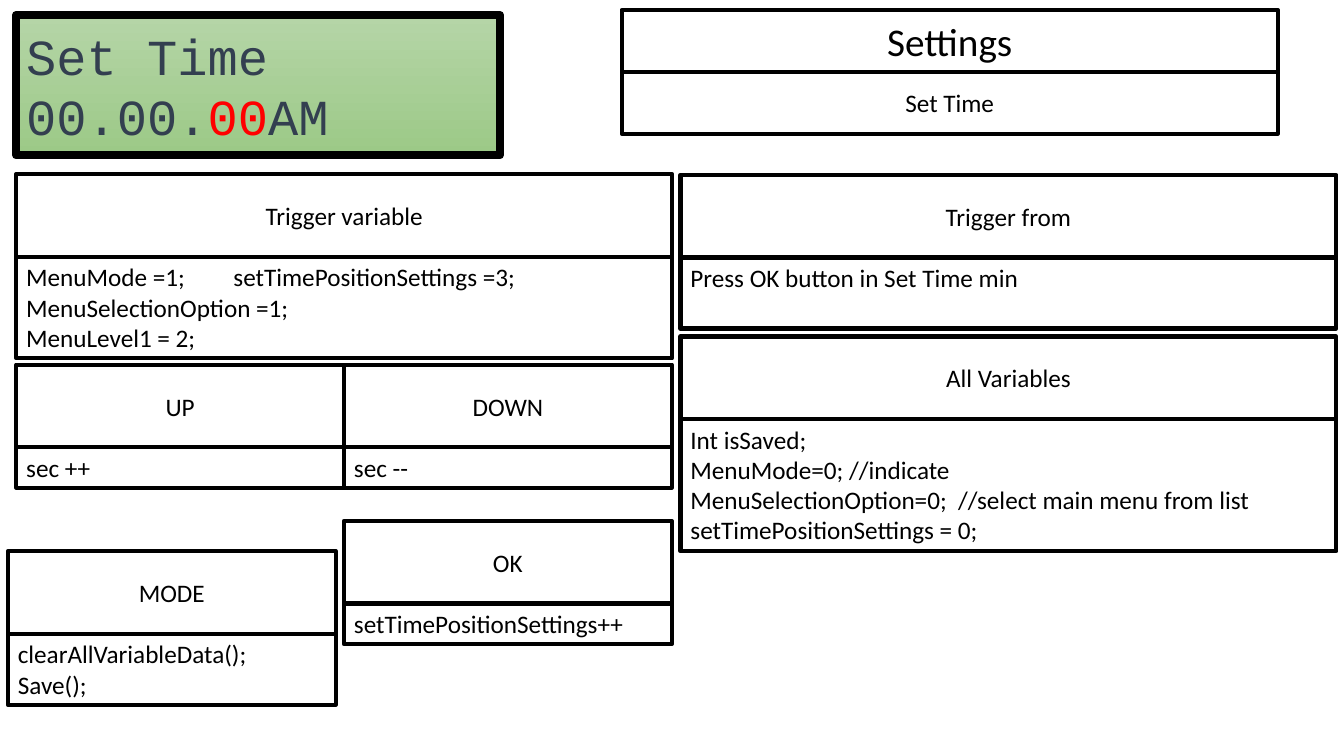
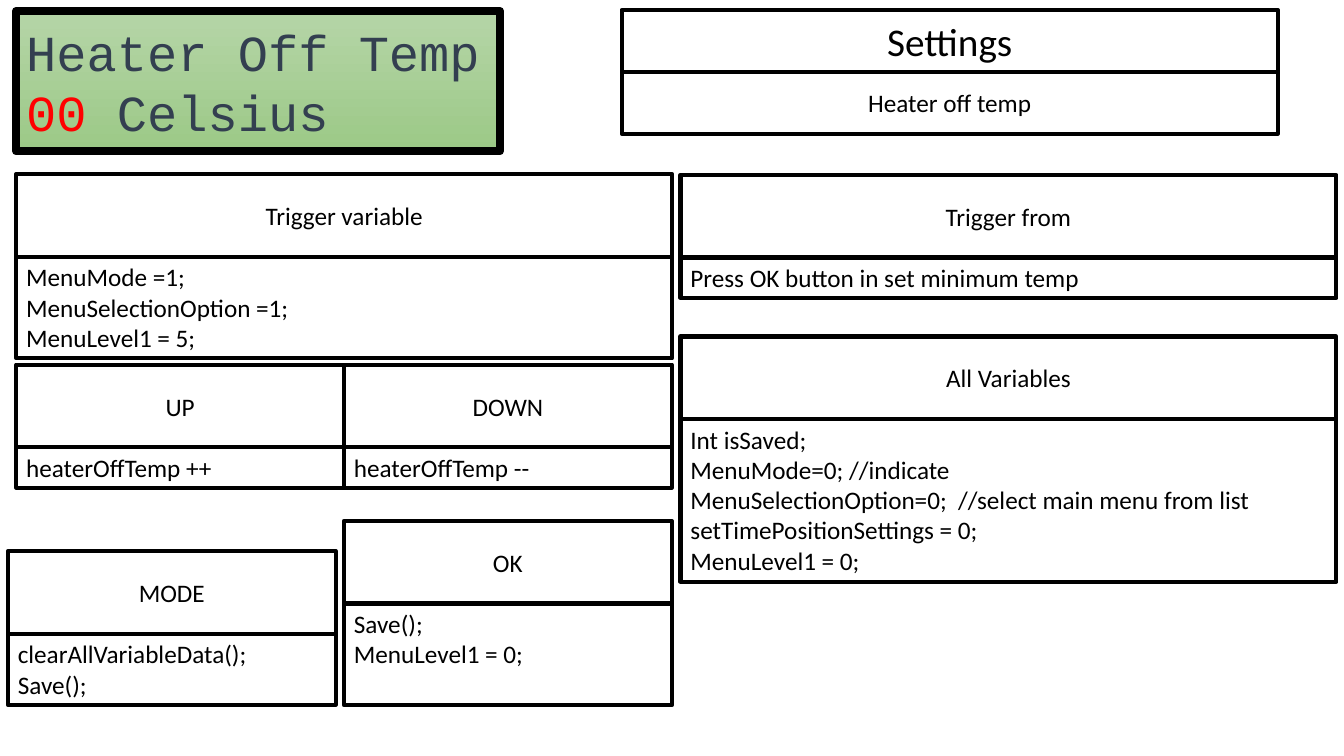
from pptx import Presentation
from pptx.dml.color import RGBColor
from pptx.enum.shapes import MSO_SHAPE
from pptx.enum.text import MSO_ANCHOR, MSO_AUTO_SIZE, PP_ALIGN
from pptx.util import Cm, Pt

RECTANGLE = MSO_SHAPE.RECTANGLE
LEFT, CENTER = PP_ALIGN.LEFT, PP_ALIGN.CENTER
TOP, MIDDLE = MSO_ANCHOR.TOP, MSO_ANCHOR.MIDDLE

COLORS = {
    "ink": "000000",
    "paper": "FFFFFF",
    "display_top": "B5D5A7",
    "display_bottom": "9CC987",
    "display_text": "333F50",
    "active": "FF0000",
}
FONT, DISPLAY_FONT = "Calibri", "Courier New"

VARIABLES = [
    "Int isSaved;",
    "MenuMode=0; //indicate",
    "MenuSelectionOption=0;  //select main menu from list",
    "setTimePositionSettings = 0;",
]
SAVE_STEPS = ["clearAllVariableData();", "Save();"]

# Display rows hold (text, color name) runs; "rows" sets a panel's height where
# it is taller than its text.
SCREENS = [
    {
        "setting": "Set Time",
        "display_top": 0.38,
        "display": [
            [("Set Time", "display_text")],
            [("00.00.", "display_text"), ("00", "active"), ("AM", "display_text")],
        ],
        "panels": {
            "Trigger variable": [
                "MenuMode =1; \t setTimePositionSettings =3;",
                "MenuSelectionOption =1;",
                "MenuLevel1 = 2;",
            ],
            "All Variables": VARIABLES,
            "UP": ["sec ++"],
            "DOWN": ["sec --"],
            "MODE": SAVE_STEPS,
            "OK": ["setTimePositionSettings++"],
            "Trigger from": ["Press OK button in Set Time min"],
        },
        "rows": {"Trigger from": 2},
    },
    {
        "setting": "Heater off temp",
        "display_top": 0.28,
        "display": [
            [("Heater Off Temp", "display_text")],
            [("00 ", "active"), ("Celsius", "display_text")],
        ],
        "panels": {
            "Trigger variable": [
                "MenuMode =1;",
                "MenuSelectionOption =1;",
                "MenuLevel1 = 5;",
            ],
            "All Variables": VARIABLES + ["MenuLevel1 = 0;"],
            "UP": ["heaterOffTemp ++"],
            "DOWN": ["heaterOffTemp --"],
            "MODE": SAVE_STEPS,
            "OK": ["Save();", "MenuLevel1 = 0;"],
            "Trigger from": ["Press OK button in set minimum temp"],
        },
        "rows": {"OK": 3},
    },
]

# Lengths in centimetres
WIDE, HALF = 16.53, 8.26
COLUMN_1 = 0.41
COLUMN_2 = COLUMN_1 + HALF
COLUMN_3 = 17.15
HEADER_HEIGHT, ROW_HEIGHT, ROW_PADDING = 2.08, 0.77, 0.25
BANNER_LEFT, BANNER_TOP, BANNER_HEIGHT = 15.67, 0.25, 1.56
DISPLAY_WIDTH, DISPLAY_HEIGHT = 12.19, 3.53

# Panel name: left, top, width
PANEL_PLACES = {
    "Trigger variable": (COLUMN_1, 4.39, WIDE),
    "All Variables": (COLUMN_3, 8.48, WIDE),
    "UP": (COLUMN_1, 9.19, HALF),
    "DOWN": (COLUMN_2, 9.19, HALF),
    "MODE": (0.2, 13.89, HALF),
    "OK": (COLUMN_2, 13.13, HALF),
    "Trigger from": (COLUMN_3, 4.41, WIDE),
}


def color(name):
    """Return the named palette color."""
    return RGBColor.from_string(COLORS[name])


def add_rectangle(slide, left, top, width, height):
    """Add a shadowless rectangle measured in centimetres."""
    shape = slide.shapes.add_shape(
        RECTANGLE, Cm(left), Cm(top), Cm(width), Cm(height)
    )
    shape.shadow.inherit = False
    return shape


def style_outline(shape, width):
    """Give a shape a black outline."""
    shape.line.color.rgb = color("ink")
    shape.line.width = Pt(width)


def style_run(run, font, size, color_name):
    """Set the font, size and color of one run."""
    run.font.name = font
    run.font.size = Pt(size)
    run.font.color.rgb = color(color_name)


def write_box(shape, lines, size=18, header=True):
    """Fill, outline and label a header or a list box."""
    if header:
        shape.fill.solid()
        shape.fill.fore_color.rgb = color("paper")
    else:
        shape.fill.background()
    style_outline(shape, 3)
    frame = shape.text_frame
    frame.word_wrap = True
    frame.auto_size = MSO_AUTO_SIZE.NONE
    frame.vertical_anchor = MIDDLE if header else TOP
    frame.text = "\n".join(lines)
    for paragraph in frame.paragraphs:
        paragraph.alignment = CENTER if header else LEFT
        for run in paragraph.runs:
            style_run(run, FONT, size, "ink")


def add_banner(slide, setting):
    """Place the slide title with the setting name below it."""
    title = slide.shapes.title
    title.left, title.top = Cm(BANNER_LEFT), Cm(BANNER_TOP)
    title.width, title.height = Cm(WIDE), Cm(BANNER_HEIGHT)
    write_box(title, ["Settings"], size=28)
    subtitle = add_rectangle(
        slide, BANNER_LEFT, BANNER_TOP + BANNER_HEIGHT, WIDE, BANNER_HEIGHT
    )
    write_box(subtitle, [setting])


def add_display(slide, top, rows):
    """Draw the green two-row display."""
    display = add_rectangle(slide, COLUMN_1, top, DISPLAY_WIDTH, DISPLAY_HEIGHT)
    display.fill.gradient()
    display.fill.gradient_angle = 270
    for stop, name in zip(
        display.fill.gradient_stops, ("display_top", "display_bottom")
    ):
        stop.color.rgb = color(name)
    style_outline(display, 6)
    frame = display.text_frame
    frame.word_wrap = True
    frame.vertical_anchor = MIDDLE
    for index, row in enumerate(rows):
        paragraph = frame.add_paragraph() if index else frame.paragraphs[0]
        paragraph.alignment = LEFT
        for text, color_name in row:
            run = paragraph.add_run()
            run.text = text
            style_run(run, DISPLAY_FONT, 36, color_name)


def add_panel(slide, name, lines, row_count):
    """Draw a list box under its header."""
    left, top, width = PANEL_PLACES[name]
    body = add_rectangle(
        slide, left, top + HEADER_HEIGHT, width,
        ROW_PADDING + row_count * ROW_HEIGHT,
    )
    write_box(body, lines, header=False)
    header = add_rectangle(slide, left, top, width, HEADER_HEIGHT)
    write_box(header, [name])


def build_screen(presentation, screen):
    """Add one slide describing a settings screen."""
    slide = presentation.slides.add_slide(presentation.slide_layouts[5])
    add_display(slide, screen["display_top"], screen["display"])
    for name, lines in screen["panels"].items():
        add_panel(slide, name, lines, screen["rows"].get(name, len(lines)))
    add_banner(slide, screen["setting"])


presentation = Presentation()
presentation.slide_width, presentation.slide_height = Cm(33.87), Cm(19.05)
for screen in SCREENS:
    build_screen(presentation, screen)
presentation.save("out.pptx")
